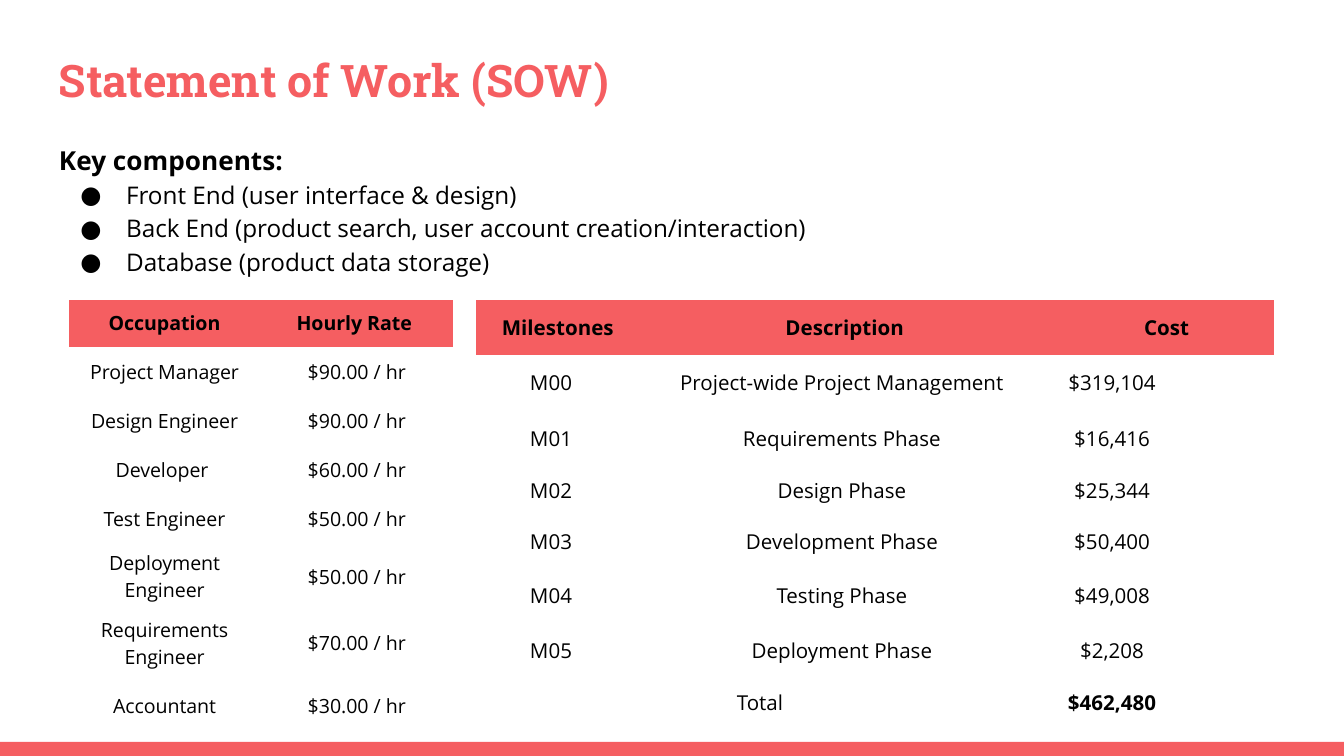
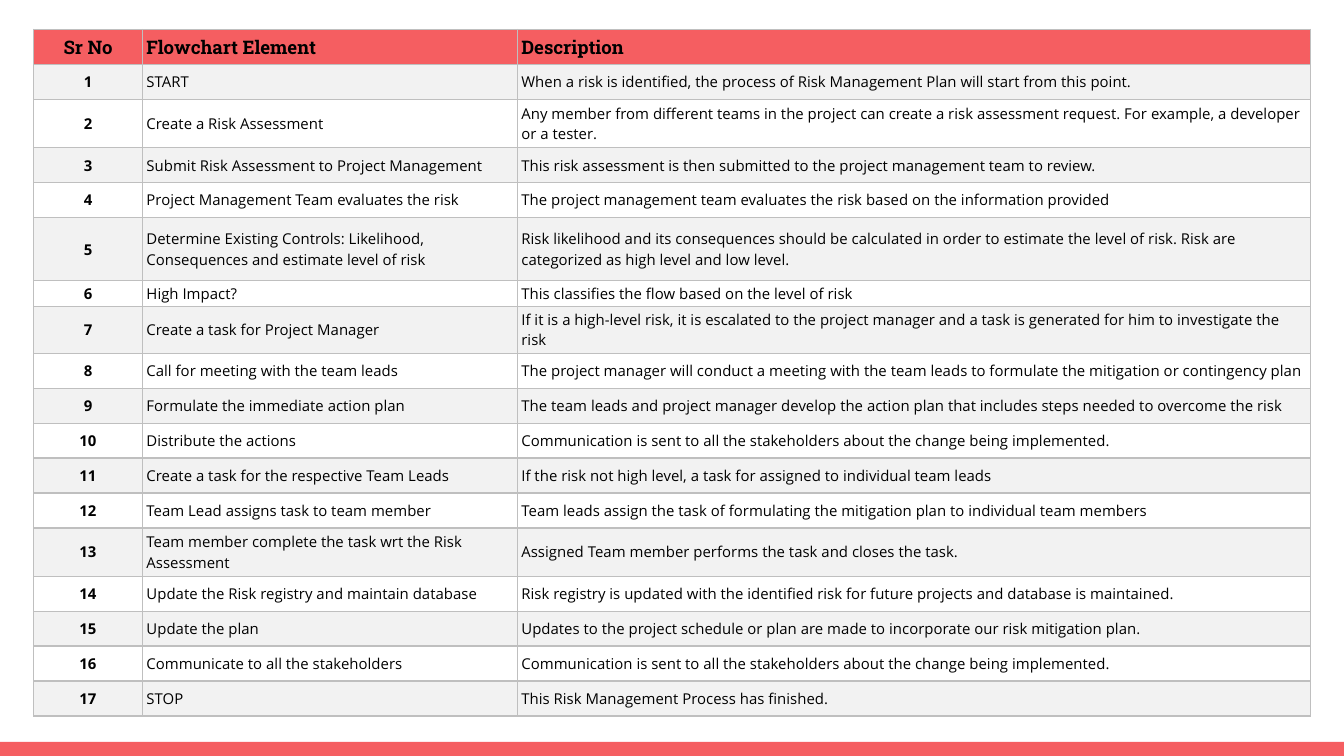
from lxml import etree
from pptx import Presentation
from pptx import util as u
from pptx.dml import color
from pptx.enum import shapes, text
from pptx.oxml import ns

COLORS = {"accent": "F55E61", "ink": "000000", "stripe": "F2F2F2", "border": "BFBFBF"}
HEADING_FONT = "Roboto Slab"
BODY_FONT = "Open Sans"
NO_TABLE_STYLE = "{2D5ABB26-0587-4C30-8999-92F81FD0307C}"

KEY_COMPONENTS = [
    "Front End (user interface & design)",
    "Back End (product search, user account creation/interaction)",
    "Database (product data storage)",
]

RATES = [
    ("Occupation", "Hourly Rate "),
    ("Project Manager", "$90.00 / hr"),
    ("Design Engineer", "$90.00 / hr"),
    ("Developer ", "$60.00 / hr"),
    ("Test Engineer", "$50.00 / hr"),
    ("Deployment Engineer", "$50.00 / hr"),
    ("Requirements Engineer", "$70.00 / hr"),
    ("Accountant", "$30.00 / hr"),
]

MILESTONES = [
    ("Milestones", "Description", "Cost"),
    ("M00", "Project-wide Project Management", "$319,104"),
    ("M01", "Requirements Phase", "$16,416"),
    ("M02", "Design Phase", "$25,344"),
    ("M03", "Development Phase", "$50,400"),
    ("M04", "Testing Phase", "$49,008"),
    ("M05", "Deployment Phase", "$2,208"),
    ("Total", "", "$462,480"),
]

RISK_STEPS = [
    ("START",
     "When a risk is identified, the process of Risk Management Plan will start from this point."),
    ("Create a Risk Assessment",
     "Any member from different teams in the project can create a risk assessment request. "
     "For example, a developer or a tester."),
    ("Submit Risk Assessment to Project Management",
     "This risk assessment is then submitted to the project management team to review."),
    ("Project Management Team evaluates the risk",
     "The project management team evaluates the risk based on the information provided"),
    ("Determine Existing Controls: Likelihood, Consequences and estimate level of risk",
     "Risk likelihood and its consequences should be calculated in order to estimate the level "
     "of risk. Risk are categorized as high level and low level."),
    ("High Impact?",
     "This classifies the flow based on the level of risk"),
    ("Create a task for Project Manager",
     "If it is a high-level risk, it is escalated to the project manager and a task is generated "
     "for him to investigate the risk"),
    ("Call for meeting with the team leads",
     "The project manager will conduct a meeting with the team leads to formulate the mitigation "
     "or contingency plan"),
    ("Formulate the immediate action plan",
     "The team leads and project manager develop the action plan that includes steps needed to "
     "overcome the risk"),
    ("Distribute the actions",
     "Communication is sent to all the stakeholders about the change being implemented."),
    ("Create a task for the respective Team Leads",
     "If the risk not high level, a task for assigned to individual team leads"),
    ("Team Lead assigns task to team member",
     "Team leads assign the task of formulating the mitigation plan to individual team members"),
    ("Team member complete the task wrt the Risk Assessment",
     "Assigned Team member performs the task and closes the task."),
    ("Update the Risk registry and maintain database",
     "Risk registry is updated with the identified risk for future projects and database is "
     "maintained."),
    ("Update the plan",
     "Updates to the project schedule or plan are made to incorporate our risk mitigation plan."),
    ("Communicate to all the stakeholders",
     "Communication is sent to all the stakeholders about the change being implemented."),
    ("STOP", "This Risk Management Process has finished."),
]


class Deck:
    """Holds the shared style and the current slide."""

    def __init__(self):
        self.presentation = Presentation()
        self.presentation.slide_width = u.Inches(10)
        self.presentation.slide_height = u.Inches(10) * 9 // 16
        self.slide = None

    def new_slide(self):
        self.slide = self.presentation.slides.add_slide(self.presentation.slide_layouts[6])
        band = self.slide.shapes.add_shape(
            shapes.MSO_SHAPE.RECTANGLE, *map(u.Inches, (0, 5.52, 10, 0.11)))
        band.shadow.inherit = False
        self.fill(band, "accent")
        band.line.fill.background()

    def fill(self, target, name):
        target.fill.solid()
        target.fill.fore_color.rgb = color.RGBColor.from_string(COLORS[name])

    def format(self, paragraph, size, bold=False, font=BODY_FONT, ink="ink"):
        for run in paragraph.runs:
            run.font.size = u.Pt(size)
            run.font.bold = bold
            run.font.name = font
            run.font.color.rgb = color.RGBColor.from_string(COLORS[ink])

    def text_box(self, box, lines):
        text_frame = self.slide.shapes.add_textbox(*map(u.Inches, box)).text_frame
        text_frame.word_wrap = True
        text_frame.margin_left = text_frame.margin_right = u.Inches(0.1)
        text_frame.margin_top = text_frame.margin_bottom = u.Inches(0.1)
        text_frame.text = "\n".join(lines)
        return text_frame.paragraphs

    def title(self, words):
        paragraph, = self.text_box((0.34, 0.29, 9.32, 0.68), [words])
        self.format(paragraph, 24, True, HEADING_FONT, "accent")

    def bullet_list(self, box, heading, items):
        first, *rest = self.text_box(box, [heading, *items])
        first.line_spacing = 1.15
        self.format(first, 14, True)
        for paragraph in rest:
            paragraph.line_spacing = 1.15
            self.format(paragraph, 13)
            properties = paragraph._p.get_or_add_pPr()
            properties.set("marL", str(u.Inches(0.5)))
            properties.set("indent", str(u.Inches(-0.34)))
            bullet_color = etree.SubElement(properties, ns.qn("a:buClr"))
            etree.SubElement(bullet_color, ns.qn("a:srgbClr"), val=COLORS["ink"])
            etree.SubElement(properties, ns.qn("a:buFont"), typeface=BODY_FONT)
            etree.SubElement(properties, ns.qn("a:buChar"), char="●")

    def table(self, left, top, widths, heights, rows):
        shape = self.slide.shapes.add_table(
            len(rows), len(widths), u.Inches(left), u.Inches(top),
            u.Inches(sum(widths)), u.Inches(sum(heights)))
        table = shape.table
        table.first_row = table.horz_banding = False
        table._tbl.tblPr.find(ns.qn("a:tableStyleId")).text = NO_TABLE_STYLE
        for column, width in zip(table.columns, widths):
            column.width = u.Inches(width)
        for row, height in zip(table.rows, heights):
            row.height = u.Inches(height)
        return table

    def cell(self, cell, words, size, insets, bold=False, font=BODY_FONT, fill=None,
             centered=True, indents=(0, 0), bordered=False):
        cell.text_frame.text = words
        cell.vertical_anchor = text.MSO_ANCHOR.MIDDLE
        cell.margin_left = cell.margin_right = u.Inches(insets[0])
        cell.margin_top = cell.margin_bottom = u.Inches(insets[1])
        paragraph = cell.text_frame.paragraphs[0]
        paragraph.alignment = text.PP_ALIGN.CENTER if centered else text.PP_ALIGN.LEFT
        for side, indent in zip(("marL", "marR"), indents):
            paragraph._p.get_or_add_pPr().set(side, str(u.Inches(indent)))
        self.format(paragraph, size, bold, font)
        if bordered:
            self.borders(cell)
        if fill:
            self.fill(cell, fill)
        else:
            cell.fill.background()

    def borders(self, cell):
        properties = cell._tc.get_or_add_tcPr()
        for side in ("lnL", "lnR", "lnT", "lnB"):
            line = etree.SubElement(properties, ns.qn(f"a:{side}"), w=str(u.Pt(0.75)))
            solid = etree.SubElement(line, ns.qn("a:solidFill"))
            etree.SubElement(solid, ns.qn("a:srgbClr"), val=COLORS["border"])


def add_rates(deck):
    heights = [0.35, 0.37, 0.36, 0.37, 0.36, 0.5, 0.49, 0.45]
    table = deck.table(0.51, 2.23, [1.43] * 2, heights, RATES)
    for r, row in enumerate(RATES):
        for c, words in enumerate(row):
            deck.cell(table.cell(r, c), words, 10.5, (0.1, 0.05), bold=r == 0,
                      fill="accent" if r == 0 else None)


def add_milestones(deck):
    heights = [0.41, 0.42, 0.4, 0.38, 0.38, 0.42, 0.4, 0.37]
    table = deck.table(3.54, 2.23, [1.15, 3.12, 1.67], heights, MILESTONES)
    total = len(MILESTONES) - 1
    table.cell(total, 0).merge(table.cell(total, 1))
    column_indents = [(0, 0.03), (0.03, 0), (0, 0.74)]
    for r, row in enumerate(MILESTONES):
        for c, words in enumerate(row):
            cell = table.cell(r, c)
            if cell.is_spanned:
                continue
            indents = column_indents[c]
            if r == 0:
                indents = (0.07, 0)
            elif cell.is_merge_origin:
                indents = (1.02, 1.06)
            deck.cell(cell, words, 11, (0.07, 0), bold=r == 0 or (r, c) == (total, 2),
                      fill="accent" if r == 0 else None, indents=indents)


def add_risk_steps(deck):
    rows = [("Sr No", "Flowchart Element", "Description")]
    rows += [(str(number), *step) for number, step in enumerate(RISK_STEPS, 1)]
    special_heights = {2: 0.36, 5: 0.47, 6: 0.19, 7: 0.35, 13: 0.36}
    heights = [special_heights.get(r, 0.26) for r in range(len(rows))]
    table = deck.table(0.25, 0.22, [0.81, 2.79, 5.9], heights, rows)
    for r, row in enumerate(rows):
        header = r == 0
        fill = "accent" if header else "stripe" if r % 2 else None
        for c, words in enumerate(row):
            deck.cell(table.cell(r, c), words, 10 if header else 8, (0.03, 0.02),
                      bold=header or c == 0, font=HEADING_FONT if header else BODY_FONT,
                      fill=fill, centered=c == 0, bordered=True)


def main():
    deck = Deck()
    deck.new_slide()
    deck.title("Statement of Work (SOW)")
    deck.bullet_list((0.34, 0.94, 8.79, 3.74), "Key components:", KEY_COMPONENTS)
    add_rates(deck)
    add_milestones(deck)
    deck.new_slide()
    add_risk_steps(deck)
    deck.presentation.save("out.pptx")


if __name__ == "__main__":
    main()
